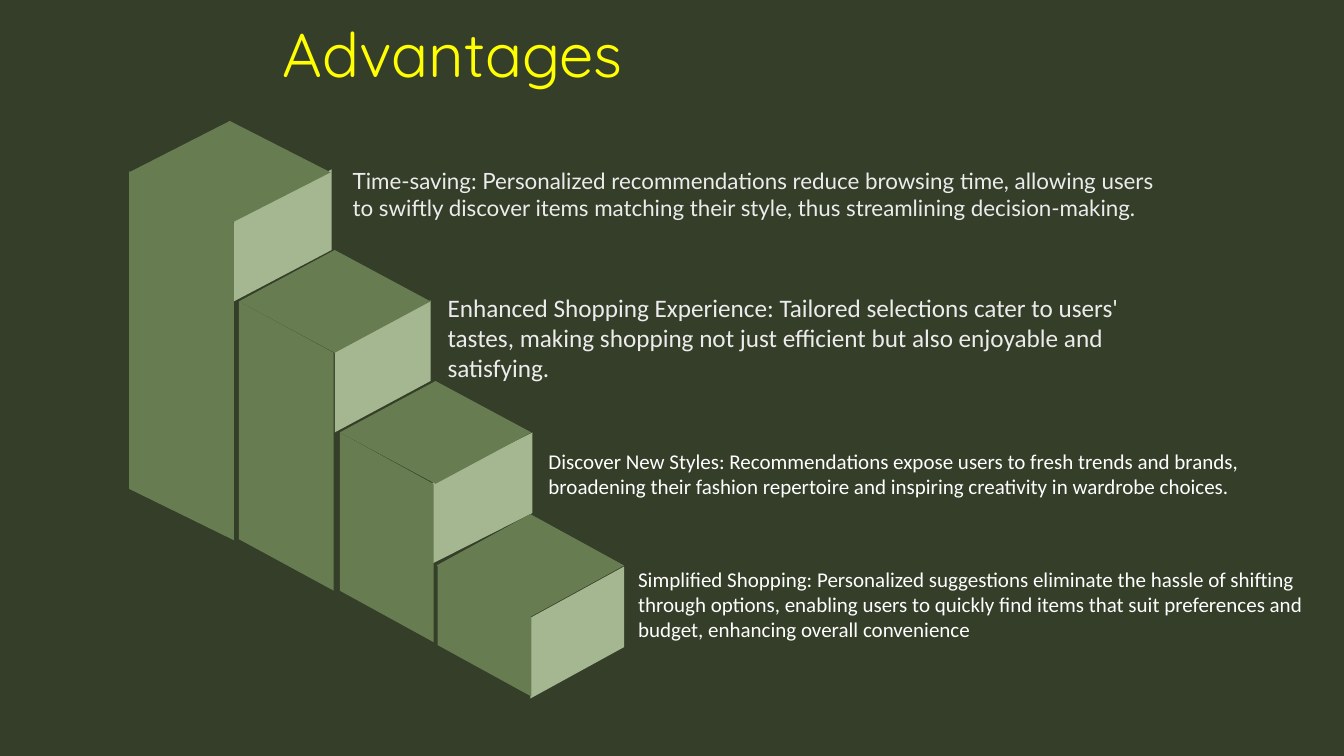
from dataclasses import dataclass

from pptx import Presentation
from pptx.dml.color import RGBColor
from pptx.enum.text import MSO_ANCHOR, MSO_AUTO_SIZE, PP_ALIGN
from pptx.util import Inches, Pt


@dataclass(frozen=True)
class Theme:
    background: str = "343E29"
    title: str = "FFFF00"
    soft_text: str = "ECECEC"
    bright_text: str = "FFFFFF"
    block: str = "687C51"
    front: str = "A5B790"
    title_font: str = "Quicksand"
    title_size: int = 44
    large: int = 18
    medium: int = 16
    small: int = 15


@dataclass(frozen=True)
class Step:
    side: tuple
    side_height: float
    front: tuple
    top: tuple


@dataclass(frozen=True)
class Advantage:
    text: str
    box: tuple
    font: str
    size: int
    color: str
    insets: tuple = (0.1, 0.05)


THEME = Theme()
SLANT = 0.51
FRONT_HEIGHT = 0.8

STEPS = [
    Step((3.37, 4.30, 4.29), 1.57, (4.27, 5.28, 4.80), (4.32, 4.29, 0.95)),
    Step((4.34, 5.27, 5.61), 0.79, (5.26, 6.19, 6.13), (5.26, 5.61, 0.93)),
    Step((2.37, 3.31, 2.99), 2.36, (3.32, 4.27, 3.49), (3.32, 2.99, 0.95)),
    Step((1.28, 2.32, 1.70), 3.15, (2.32, 3.29, 2.19), (2.28, 1.71, 1.0)),
]

ADVANTAGES = [
    Advantage(
        "Time-saving: Personalized recommendations reduce browsing time, "
        "allowing users to swiftly discover items matching their style, "
        "thus streamlining decision-making.",
        (3.4, 1.61, 8.16, 0.91), "Lato", THEME.medium, THEME.soft_text),
    Advantage(
        "Enhanced Shopping Experience: Tailored selections cater to users' "
        "tastes, making shopping not just efficient but also enjoyable and "
        "satisfying.",
        (4.34, 2.85, 7.22, 1.62), "Calibri", THEME.large, THEME.soft_text),
    Advantage(
        "Discover New Styles: Recommendations expose users to fresh trends "
        "and brands, broadening their fashion repertoire and inspiring "
        "creativity in wardrobe choices.",
        (5.44, 4.45, 6.97, 0.5), "Calibri", THEME.small, THEME.bright_text,
        (0, 0)),
    Advantage(
        "Simplified Shopping: Personalized suggestions eliminate the hassle "
        "of shifting through options, enabling users to quickly find items "
        "that suit preferences and budget, enhancing overall convenience",
        (6.23, 5.57, 6.91, 0.86), "Calibri", THEME.small, THEME.bright_text),
]


def set_font(paragraph, name, size, color):
    paragraph.font.name = name
    paragraph.font.size = Pt(size)
    paragraph.font.color.rgb = RGBColor.from_string(color)


def set_insets(frame, horizontal, vertical):
    frame.margin_left = frame.margin_right = Inches(horizontal)
    frame.margin_top = frame.margin_bottom = Inches(vertical)


def add_title(slide, text):
    title = slide.shapes.title
    title.left, title.top = Inches(2.8), Inches(0.15)
    title.width, title.height = Inches(3.63), Inches(0.74)
    frame = title.text_frame
    frame.text = text
    frame.word_wrap = True
    frame.auto_size = MSO_AUTO_SIZE.NONE
    frame.vertical_anchor = MSO_ANCHOR.MIDDLE
    set_insets(frame, 0, 0)
    heading = frame.paragraphs[0]
    heading.alignment = PP_ALIGN.LEFT
    set_font(heading, THEME.title_font, THEME.title_size, THEME.title)


def add_face(slide, corners, color):
    start, *others = [(Inches(x), Inches(y)) for x, y in corners]
    builder = slide.shapes.build_freeform(*start, scale=1.0)
    builder.add_line_segments(others, close=True)
    face = builder.convert_to_shape()
    face.shadow.inherit = False
    face.fill.solid()
    face.fill.fore_color.rgb = RGBColor.from_string(color)
    face.line.fill.background()


def add_wall(slide, edge, drop, height, color):
    left, right, y = edge
    corners = [(left, y), (right, y + drop),
               (right, y + drop + height), (left, y + height)]
    add_face(slide, corners, color)


def add_step(slide, step):
    add_wall(slide, step.front, -SLANT, FRONT_HEIGHT, THEME.front)
    add_wall(slide, step.side, SLANT, step.side_height, THEME.block)
    x, y, reach = step.top
    diamond = [(x, y - SLANT), (x + reach, y), (x, y + SLANT), (x - reach, y)]
    add_face(slide, diamond, THEME.block)


def add_advantage(slide, advantage):
    box = slide.shapes.add_textbox(*map(Inches, advantage.box))
    frame = box.text_frame
    frame.text = advantage.text
    frame.word_wrap = True
    set_insets(frame, *advantage.insets)
    set_font(frame.paragraphs[0], advantage.font, advantage.size,
             advantage.color)


def main():
    deck = Presentation()
    deck.slide_width, deck.slide_height = Inches(13.33), Inches(7.5)
    slide = deck.slides.add_slide(deck.slide_layouts[5])
    slide.background.fill.solid()
    slide.background.fill.fore_color.rgb = RGBColor.from_string(
        THEME.background)
    add_title(slide, "Advantages")
    for step in STEPS:
        add_step(slide, step)
    for advantage in ADVANTAGES:
        add_advantage(slide, advantage)
    deck.save("out.pptx")


if __name__ == "__main__":
    main()
